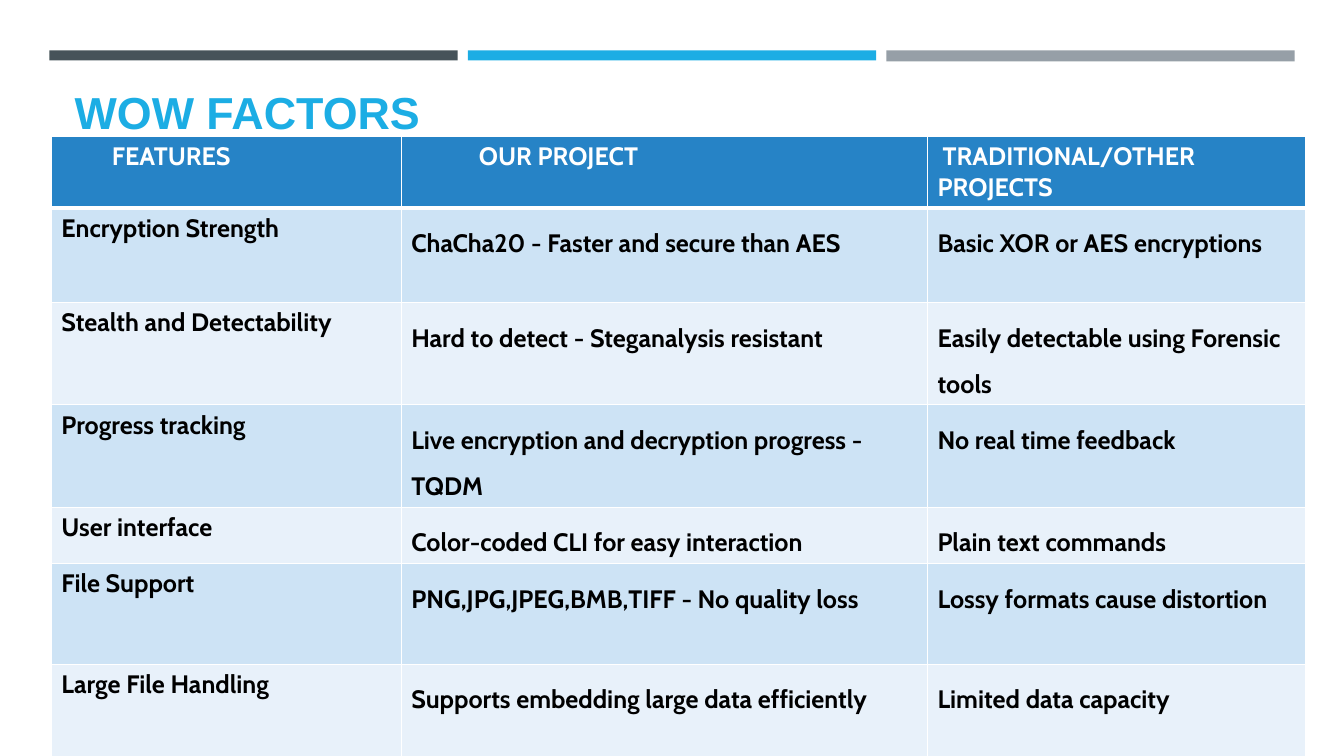
from lxml.etree import SubElement
from pptx import Presentation
from pptx.dml.color import RGBColor
from pptx.enum.shapes import MSO_SHAPE
from pptx.enum.text import MSO_ANCHOR, PP_ALIGN
from pptx.oxml.ns import qn
from pptx.util import Inches, Pt

COLUMN_WIDTHS = [3.47, 5.22, 3.75]
ROW_HEIGHTS = [0.54, 0.94, 1, 1, 0.55, 1, 1]
HEADER_INDENTS = [0.5, 0.67, 0.05]
FEATURES = [
    ("FEATURES", "OUR PROJECT", "TRADITIONAL/OTHER PROJECTS"),
    ("Encryption Strength", "ChaCha20 - Faster and secure than AES",
     "Basic XOR or AES encryptions"),
    ("Stealth and Detectability", "Hard to detect - Steganalysis resistant",
     "Easily detectable using Forensic tools"),
    ("Progress tracking", "Live encryption and decryption progress - TQDM",
     "No real time feedback"),
    ("User interface", "Color-coded CLI for easy interaction",
     "Plain text commands"),
    ("File Support", "PNG,JPG,JPEG,BMB,TIFF - No quality loss",
     "Lossy formats cause distortion"),
    ("Large File Handling", "Supports embedding large data efficiently",
     "Limited data capacity"),
]


def color(value):
    return RGBColor.from_string(value)


class FeaturePage:
    accent = "1CADE4"
    white = "FFFFFF"
    black = "000000"
    header_fill = "2683C6"
    band_fills = ["E8F1FA", "CDE3F5"]
    title_font = "Arial"
    table_font = "Cabin"

    def __init__(self, deck):
        self.page = deck.slides.add_slide(deck.slide_layouts[5])
        self.page.background.fill.solid()
        self.page.background.fill.fore_color.rgb = color(self.white)

    def add_span(self, para, text, font, size, ink):
        span = para.add_run()
        span.text = text
        span.font.name = font
        span.font.size = Pt(size)
        span.font.bold = True
        span.font.color.rgb = color(ink)

    def bar(self, left, height, fill):
        box = self.page.shapes.add_shape(
            MSO_SHAPE.RECTANGLE, Inches(left), Inches(0.5), Inches(4.05), Inches(height))
        box.shadow.inherit = False
        box.fill.solid()
        box.fill.fore_color.rgb = color(fill)
        box.line.fill.background()

    def title(self, text):
        box = self.page.shapes.title
        box.left, box.top = Inches(0.64), Inches(0.84)
        box.width, box.height = Inches(12.06), Inches(0.58)
        box.text_frame.vertical_anchor = MSO_ANCHOR.BOTTOM
        para = box.text_frame.paragraphs[0]
        para.alignment = PP_ALIGN.LEFT
        self.add_span(para, text, self.title_font, 32, self.accent)

    def border(self, cell, side, width):
        properties = cell._tc.get_or_add_tcPr()
        line = SubElement(properties, qn(f"a:ln{side}"), w=str(Pt(width)))
        fill = SubElement(line, qn("a:solidFill"))
        SubElement(fill, qn("a:srgbClr"), val=self.white)

    def cell(self, cell, text, row, column):
        header = row == 0
        for side in "LRTB":
            thick = (header and side == "B") or (row == 1 and side == "T")
            self.border(cell, side, 3 if thick else 1)
        cell.fill.solid()
        cell.fill.fore_color.rgb = color(
            self.header_fill if header else self.band_fills[row % 2])
        para = cell.text_frame.paragraphs[0]
        if header:
            indent = Inches(HEADER_INDENTS[column])
            para._p.get_or_add_pPr().set("indent", str(indent))
        elif column > 0:
            para.line_spacing = 1.5
        self.add_span(para, text, self.table_font, 18, self.white if header else self.black)

    def table(self, rows):
        table = self.page.shapes.add_table(
            len(rows), len(COLUMN_WIDTHS), Inches(0.51), Inches(1.35),
            Inches(sum(COLUMN_WIDTHS)), Inches(sum(ROW_HEIGHTS))).table
        for column, width in zip(table.columns, COLUMN_WIDTHS):
            column.width = Inches(width)
        for row, height in zip(table.rows, ROW_HEIGHTS):
            row.height = Inches(height)
        for row, texts in enumerate(rows):
            for column, text in enumerate(texts):
                self.cell(table.cell(row, column), text, row, column)


def main():
    deck = Presentation()
    deck.slide_width, deck.slide_height = Inches(13.33), Inches(7.5)
    features = FeaturePage(deck)
    features.bar(0.49, 0.1, "465359")
    features.bar(8.79, 0.11, "969FA7")
    features.bar(4.64, 0.1, features.accent)
    features.title("WOW FACTORS")
    features.table(FEATURES)
    deck.save("out.pptx")


if __name__ == "__main__":
    main()
